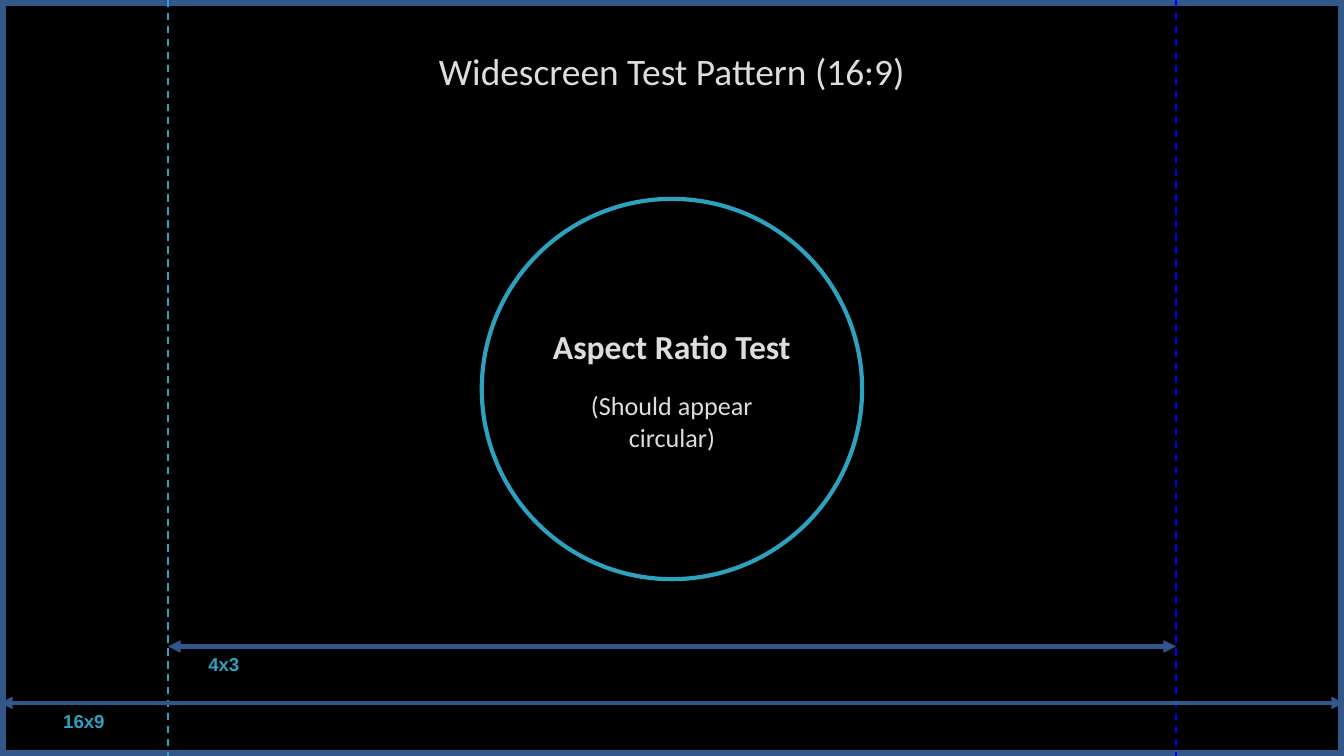
from dataclasses import dataclass

from lxml import etree
from pptx import Presentation
from pptx import util as u
from pptx.dml.color import RGBColor
from pptx.enum import dml, shapes, text
from pptx.oxml.ns import qn


@dataclass(frozen=True)
class Theme:
    """Colours, fonts and type sizes of the slide."""
    black: str = "000000"
    navy: str = "32578B"
    teal: str = "2DA2BF"
    blue: str = "0000FF"
    pale: str = "DDDDDD"
    body: str = "Calibri"
    label: str = "Arial"
    title_size: float = 20
    heading_size: float = 18
    note_size: float = 14
    label_size: float = 10


THEME = Theme()
WIDTH = 10
HEIGHT = WIDTH * 9 / 16
NARROW = 7.5
MARGIN = (WIDTH - NARROW) / 2
CIRCLE = 2.83

TITLE = "Widescreen Test Pattern (16:9)"
CIRCLE_TEXT = [
    # text, size, bold, space before in points
    ("Aspect Ratio Test", THEME.heading_size, True, 0),
    ("(Should appear circular)", THEME.note_size, False, 12.8),
]
GUIDES = [(MARGIN, THEME.teal), (WIDTH - MARGIN, THEME.blue)]
SPANS = [
    # label, label left, arrow start, arrow end, height on the slide
    ("16x9", 0.42, 0, WIDTH, 5.23),
    ("4x3", 1.5, MARGIN, WIDTH - MARGIN, 4.81),
]


def colour(code):
    """Turn a hex code into a colour."""
    return RGBColor.from_string(code)


def set_line(line, code, width):
    """Colour a line and set its width in points."""
    line.color.rgb = colour(code)
    line.width = u.Pt(width)


def set_font(para, name, size, code, bold=False):
    """Set the font of a paragraph."""
    para.font.name = name
    para.font.size = u.Pt(size)
    para.font.bold = bold
    para.font.color.rgb = colour(code)


def add_outline(page, kind, left, top, width, height, code, weight):
    """Add an unfilled preset shape."""
    shape = page.shapes.add_shape(kind, *map(u.Inches, (left, top, width, height)))
    shape.shadow.inherit = False
    shape.fill.background()
    set_line(shape.line, code, weight)
    return shape


def add_line(page, start, end, code, weight, dashed=False, arrows=False):
    """Add a straight line, dashed or with an arrowhead at both ends."""
    line = page.shapes.add_connector(
        shapes.MSO_CONNECTOR.STRAIGHT, *map(u.Inches, (*start, *end)))
    set_line(line.line, code, weight)
    if dashed:
        line.line.dash_style = dml.MSO_LINE.DASH
    if arrows:
        for tag in ("a:headEnd", "a:tailEnd"):
            etree.SubElement(line.line._get_or_add_ln(), qn(tag), type="triangle")
    etree.SubElement(line._element.spPr, qn("a:effectLst"))


def add_text(page, words, left, top, width, height):
    """Add a wrapping text box and return its frame."""
    box = page.shapes.add_textbox(*map(u.Inches, (left, top, width, height)))
    frame = box.text_frame
    frame.word_wrap = True
    frame.text = words
    return frame


def add_title(page):
    """Add the centred title."""
    para = add_text(page, TITLE, 0.75, 0.31, 8.5, 0.92).paragraphs[0]
    para.alignment = text.PP_ALIGN.CENTER
    set_font(para, THEME.body, THEME.title_size, THEME.pale)


def add_circle(page):
    """Add the test circle with its two lines of text."""
    circle = add_outline(page, shapes.MSO_SHAPE.OVAL, (WIDTH - CIRCLE) / 2, 1.48,
                         CIRCLE, CIRCLE, THEME.teal, 2.25)
    frame = circle.text_frame
    frame.word_wrap = True
    frame.vertical_anchor = text.MSO_ANCHOR.MIDDLE
    frame.text = "\n".join(row[0] for row in CIRCLE_TEXT)
    for para, (_, size, bold, gap) in zip(frame.paragraphs, CIRCLE_TEXT):
        para.alignment = text.PP_ALIGN.CENTER
        para.space_before = u.Pt(gap)
        set_font(para, THEME.body, size, THEME.pale, bold)


def add_span(page, label, label_left, start, end, top):
    """Add a double arrow with its label below."""
    add_line(page, (start, top), (end, top), THEME.navy, 2.25, arrows=True)
    frame = add_text(page, label, label_left, top, 0.58, 0.27)
    frame.margin_left = frame.margin_right = u.Inches(0.05)
    frame.margin_top = frame.margin_bottom = u.Inches(0.05)
    frame.auto_size = text.MSO_AUTO_SIZE.SHAPE_TO_FIT_TEXT
    set_font(frame.paragraphs[0], THEME.label, THEME.label_size, THEME.teal, True)


def build():
    """Build the slide and save it."""
    deck = Presentation()
    deck.slide_width, deck.slide_height = u.Inches(WIDTH), u.Inches(HEIGHT)
    page = deck.slides.add_slide(deck.slide_layouts[6])
    page.background.fill.solid()
    page.background.fill.fore_color.rgb = colour(THEME.black)
    add_outline(page, shapes.MSO_SHAPE.RECTANGLE, 0, 0, WIDTH, HEIGHT, THEME.navy, 6)
    add_title(page)
    for left, code in GUIDES:
        add_line(page, (left, 0), (left, HEIGHT), code, 1, dashed=True)
    add_circle(page)
    for span in SPANS:
        add_span(page, *span)
    deck.save("out.pptx")


build()
